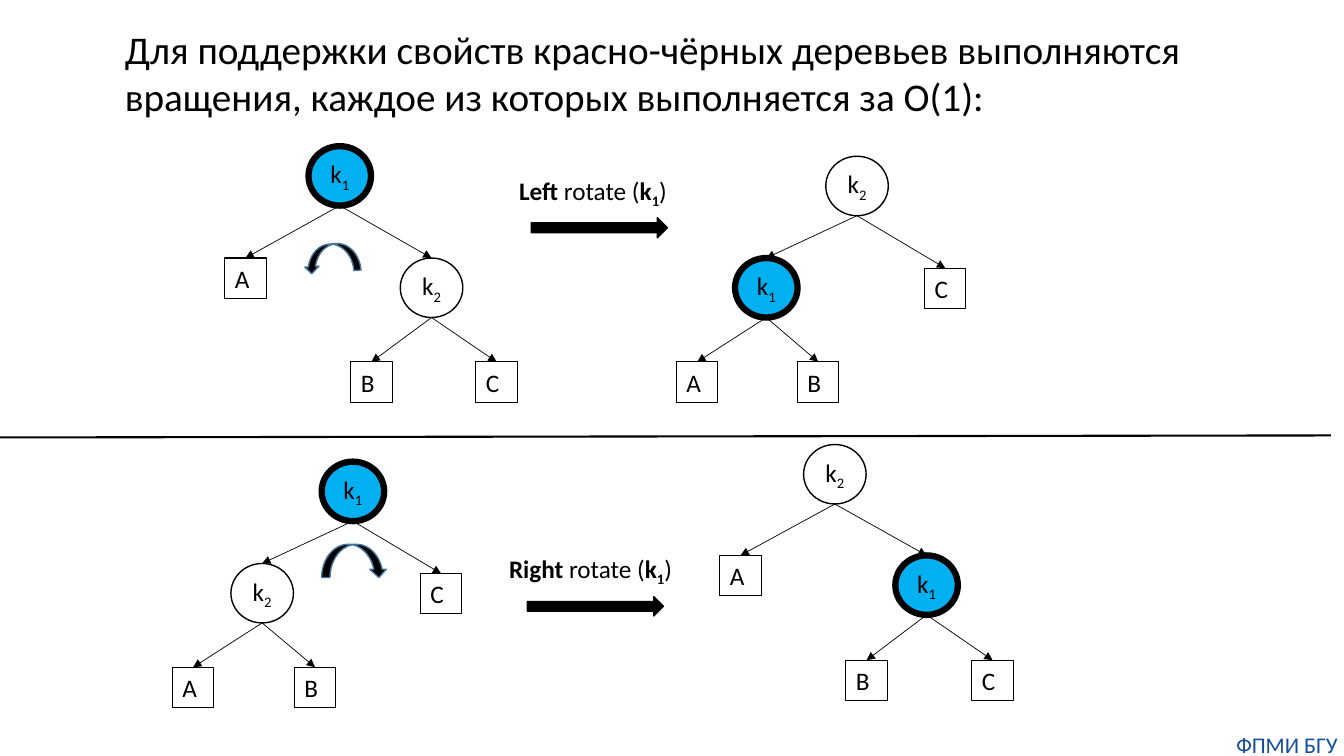
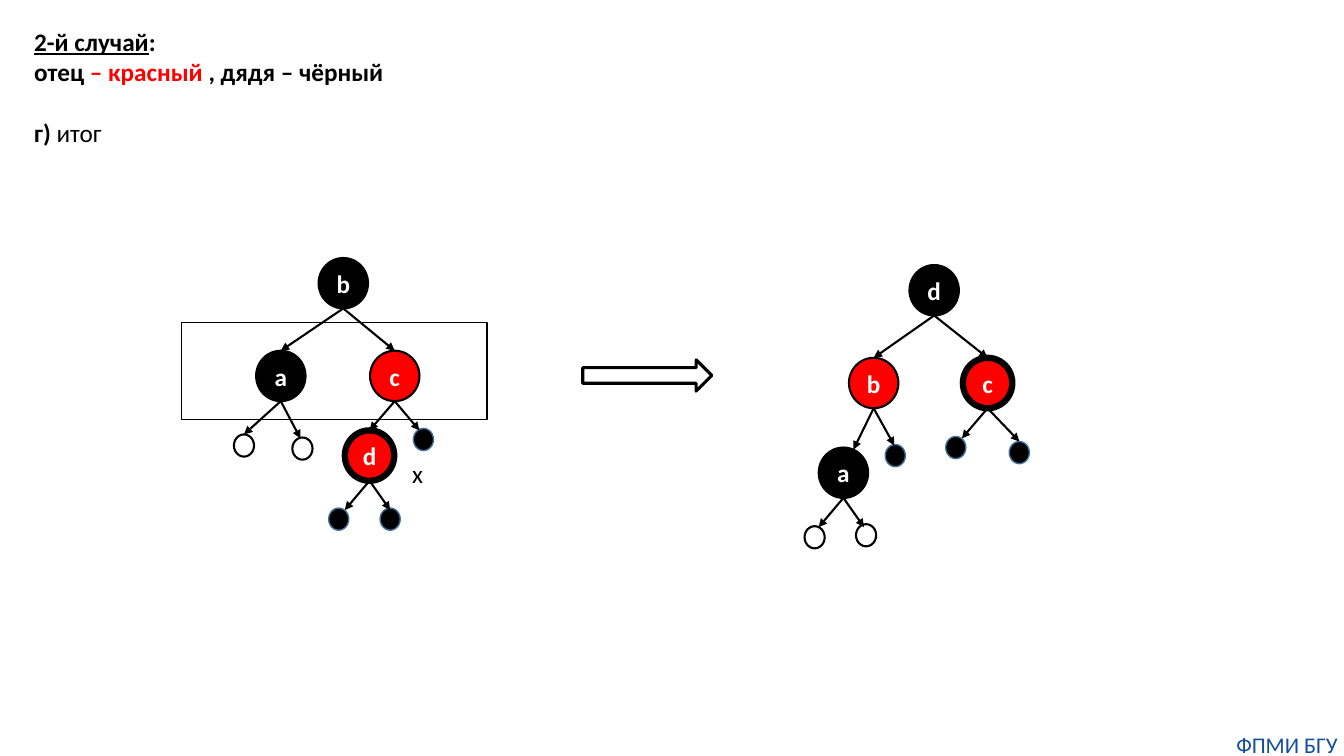
from pptx import Presentation
from pptx.dml.color import RGBColor
from pptx.enum.shapes import MSO_CONNECTOR, MSO_SHAPE
from pptx.enum.text import MSO_ANCHOR, MSO_AUTO_SIZE, PP_ALIGN
from pptx.oxml.ns import qn
from pptx.util import Inches, Pt
from lxml import etree

OVAL, RECT, ARROW = MSO_SHAPE.OVAL, MSO_SHAPE.RECTANGLE, MSO_SHAPE.RIGHT_ARROW
ARC_UP, ARC_DOWN = MSO_SHAPE.CURVED_UP_ARROW, MSO_SHAPE.CURVED_DOWN_ARROW
STRAIGHT = MSO_CONNECTOR.STRAIGHT
LEFT, CENTER = PP_ALIGN.LEFT, PP_ALIGN.CENTER
TOP, MIDDLE = MSO_ANCHOR.TOP, MSO_ANCHOR.MIDDLE
GROW = MSO_AUTO_SIZE.SHAPE_TO_FIT_TEXT


class Theme:
    font = "Calibri"
    black, white, red = "000000", "FFFFFF", "FF0000"
    cyan, steel, navy = "00B0F0", "43739E", "144E9D"
    title, body, foot = 28, 18, 16
    hair, thin, line, mid, bold, thick = 0.5, 0.75, 1, 1.5, 2.25, 4.5


BIG, DISC, DOT = (0.62, 0.59), (0.49, 0.5), (0.2, 0.22)
PALE = dict(color=Theme.white, bold=True)
KINDS = {
    "plain": dict(size=BIG, pen=Theme.line),
    "pivot": dict(size=BIG, fill=Theme.cyan, pen=Theme.thick),
    "box": dict(form=RECT, size=(0.41, 0.4), pen=Theme.thin),
    "black": dict(size=DISC, fill=Theme.black, pen=Theme.mid, text=PALE),
    "red": dict(size=DISC, fill=Theme.red, pen=Theme.mid, text=PALE),
    "new": dict(size=DISC, fill=Theme.red, pen=Theme.thick, text=PALE),
    "leaf": dict(size=DOT, pen=Theme.mid),
    "nil": dict(size=DOT, fill=Theme.black, edge=Theme.steel, pen=Theme.line),
}

FOOTER = "ФПМИ БГУ"
TITLE = ("Для поддержки свойств красно-чёрных деревьев выполняются "
         "вращения, каждое из которых выполняется за O(1):")

# kind, label, left, top, parent index, optional shift of the arrow tip
TURNS = [
    [("pivot", "k1", 3.06, 1.45, None), ("box", "A", 2.23, 2.56, 0),
     ("plain", "k2", 3.97, 2.56, 0), ("box", "B", 3.48, 3.59, 2),
     ("box", "C", 4.72, 3.59, 2)],
    [("plain", "k2", 8.19, 1.55, None), ("pivot", "k1", 7.29, 2.56, 0),
     ("box", "C", 9.17, 2.66, 0), ("box", "A", 6.71, 3.59, 1),
     ("box", "B", 7.91, 3.59, 1)],
    [("pivot", "k1", 3.19, 4.58, None), ("plain", "k2", 2.29, 5.59, 0),
     ("box", "C", 4.17, 5.69, 0), ("box", "A", 1.71, 6.62, 1),
     ("box", "B", 2.92, 6.62, 1)],
    [("plain", "k2", 7.97, 4.41, None), ("box", "A", 7.14, 5.51, 0),
     ("pivot", "k1", 8.88, 5.51, 0), ("box", "B", 8.39, 6.55, 2),
     ("box", "C", 9.64, 6.55, 2)],
]
MOVES = [
    ("Left", (5.05, 1.69, 1.77, 0.4), (5.27, 2.16, 1.35, 0.2)),
    ("Right", (4.95, 5.44, 2.01, 0.4), (5.23, 5.92, 1.35, 0.19)),
]
ARCS = [
    (ARC_UP, (3.01, 2.42, 0.56, 0.28), 175.7),
    (ARC_DOWN, (3.19, 5.4, 0.65, 0.33), 0),
]

BEFORE = [
    ("black", "b", 3.16, 2.56, None), ("black", "a", 2.54, 3.48, 0),
    ("red", "c", 3.67, 3.48, 0), ("new", "d", 3.42, 4.27, 2),
    ("leaf", "", 2.32, 4.31, 1), ("leaf", "", 2.9, 4.34, 1, -0.02, 0.01),
    ("nil", "", 4.1, 4.25, 2, -0.04, 0.02),
    ("nil", "", 3.26, 5.04, 3, 0.06, 0.02),
    ("nil", "", 3.77, 5.04, 3, 0, 0.02),
]
AFTER = [
    ("black", "d", 9.02, 2.63, None), ("red", "b", 8.42, 3.55, 0),
    ("new", "c", 9.55, 3.55, 0), ("black", "a", 8.12, 4.44, 1, 0.1, 0.02),
    ("nil", "", 8.78, 4.41, 1, -0.01, 0.01),
    ("nil", "", 9.38, 4.33, 2, 0.06, 0.02), ("nil", "", 10.01, 4.38, 2),
    ("leaf", "", 7.98, 5.22, 3, 0.04, 0.01),
    ("leaf", "", 8.49, 5.2, 3, -0.02, 0.03),
]
CASE = [
    [("2-й случай", dict(under=True)), ":"],
    ["отец", (" – красный ", dict(color=Theme.red)), ", дядя – чёрный"],
    ["г) ", ("итог", dict(bold=False))],
]


def rgb(code):
    return RGBColor.from_string(code)


def style(run, size, color, bold, under=False, sub=False):
    font = run.font
    font.name, font.size, font.bold = Theme.font, Pt(size), bold
    font.underline = under
    font.color.rgb = rgb(color)
    if sub:
        run._r.get_or_add_rPr().set("baseline", "-25000")


def write(frame, text, size=Theme.body, color=Theme.black, bold=False,
          align=LEFT, anchor=TOP, inset=None, wrap=True, gaps=()):
    frame.word_wrap, frame.vertical_anchor = wrap, anchor
    if inset is not None:
        frame.margin_left = frame.margin_right = Inches(inset)
        frame.margin_top = frame.margin_bottom = Inches(inset)
    rows = [[text]] if isinstance(text, str) else text
    for i, row in enumerate(rows):
        para = frame.add_paragraph() if i else frame.paragraphs[0]
        para.alignment = align
        if i in gaps:
            para.space_before = Pt(gaps[i])
        for part in row:
            words, extra = (part, {}) if isinstance(part, str) else part
            run = para.add_run()
            run.text = words
            style(run, **{"size": size, "color": color, "bold": bold, **extra})


def label(board, area, text, **fmt):
    box = board.add_textbox(*map(Inches, area))
    write(box.text_frame, text, **fmt)
    box.text_frame.auto_size = GROW


def draw(board, form, area, fill=None, edge=Theme.black, pen=Theme.line):
    shape = board.add_shape(form, *map(Inches, area))
    shape.shadow.inherit = False
    if fill:
        shape.fill.solid()
        shape.fill.fore_color.rgb = rgb(fill)
    else:
        shape.fill.background()
    shape.line.color.rgb = rgb(edge)
    shape.line.width = Pt(pen)
    return shape


def link(board, start, end, pen, head=True):
    wire = board.add_connector(STRAIGHT, *map(Inches, start + end))
    wire.line.color.rgb = rgb(Theme.black)
    wire.line.width = Pt(pen)
    props = wire._element.spPr
    if head:
        etree.SubElement(props.find(qn("a:ln")), qn("a:tailEnd"), type="triangle")
    etree.SubElement(props, qn("a:effectLst"))
    return wire


def node(board, kind, name, x, y):
    look = KINDS[kind]
    form = look.get("form", OVAL)
    shape = draw(board, form, (x, y, *look["size"]), look.get("fill"),
                 look.get("edge", Theme.black), look["pen"])
    if name:
        row = [name[0]]
        if name[1:]:
            row.append((name[1:], dict(sub=True)))
        place = {} if form == RECT else dict(align=CENTER, anchor=MIDDLE)
        write(shape.text_frame, [row], **place, **look.get("text", {}))
    return shape


def tree(board, nodes, pen):
    shapes = [node(board, *item[:4]) for item in nodes]
    for shape, (kind, _, x, y, root, *shift) in zip(shapes, nodes):
        if root is None:
            continue
        above, _, left, top, *_ = nodes[root]
        wide, high = KINDS[above]["size"]
        dx, dy = shift or (0, 0)
        tip = (x + KINDS[kind]["size"][0] / 2 + dx, y + dy)
        wire = link(board, (left + wide / 2, top + high), tip, pen)
        if KINDS[kind].get("form") == RECT:
            wire.end_connect(shape, 0)


def page(deck):
    board = deck.slides.add_slide(deck.slide_layouts[6]).shapes
    label(board, (12.2, 7.25, 1.13, 0.27), FOOTER, size=Theme.foot,
          color=Theme.navy, align=CENTER, inset=0)
    return board


def turns(deck):
    board = page(deck)
    label(board, (1.14, 0.2, 10.71, 1.04), TITLE, size=Theme.title)
    for nodes in TURNS:
        tree(board, nodes, Theme.hair)
    strong = dict(bold=True)
    for side, area, arrow in MOVES:
        label(board, area, [[(side, strong), " rotate (", ("k", strong),
                             ("1", dict(bold=True, sub=True)), ")"]])
        draw(board, ARROW, arrow, Theme.black)
    link(board, (0, 4.34), (13.2, 4.32), Theme.mid, head=False)
    for form, area, angle in ARCS:
        draw(board, form, area, Theme.black, Theme.steel).rotation = angle


def case(deck):
    board = page(deck)
    for nodes in (AFTER, BEFORE):
        tree(board.add_group_shape().shapes, nodes, Theme.mid)
    label(board, (3.99, 4.5, 0.31, 0.4), "x", wrap=False)
    draw(board, ARROW, (5.78, 3.57, 1.28, 0.31), pen=Theme.bold)
    draw(board, RECT, (1.8, 3.2, 3.03, 0.96))
    label(board, (0.24, 0.21, 3.75, 1.31), CASE, bold=True, gaps={2: 22})


def main():
    deck = Presentation()
    deck.slide_width, deck.slide_height = Inches(13.33), Inches(7.5)
    turns(deck)
    case(deck)
    deck.save("out.pptx")


if __name__ == "__main__":
    main()
